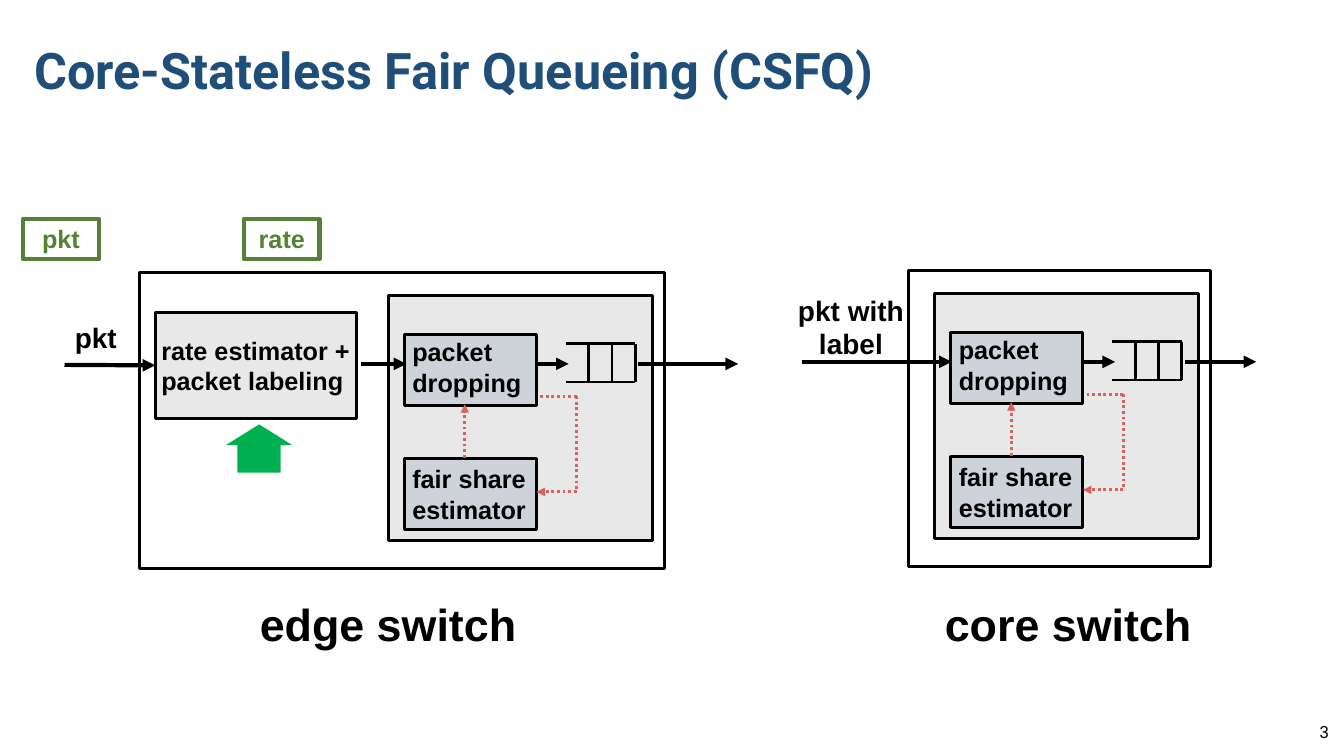
from dataclasses import dataclass

from lxml import etree
from pptx import Presentation
from pptx.dml.color import RGBColor
from pptx.enum import dml, shapes, text
from pptx.oxml import ns
from pptx.util import Inches, Pt


@dataclass(frozen=True)
class Theme:
    head: str = "Roboto"
    body: str = "Arial"
    ink: str = "000000"
    navy: str = "1F4E79"
    gray: str = "A6A6A6"
    steel: str = "8497B0"
    red: str = "D9615F"
    leaf: str = "548235"
    green: str = "00B050"
    white: str = "FFFFFF"
    title: int = 36
    name: int = 32
    label: int = 20
    stage: int = 18
    page: int = 12
    thin: int = 2
    thick: int = 3


T = Theme()
LEFT, MID, RIGHT = text.PP_ALIGN.LEFT, text.PP_ALIGN.CENTER, text.PP_ALIGN.RIGHT


def write(frame, lines, size, color=T.ink, font=T.body, bold=True, align=LEFT):
    frame.text = lines
    for para in frame.paragraphs:
        para.alignment = align
        para.font.name, para.font.size, para.font.bold = font, Pt(size), bold
        para.font.color.rgb = RGBColor.from_string(color)


def label(host, box, words, size, align=MID, wrap=False, **style):
    frame = host.add_textbox(*map(Inches, box)).text_frame
    frame.word_wrap = wrap
    write(frame, words, size, align=align, **style)
    return frame


def block(host, box, fill=None, alpha=None, edge=T.ink, width=T.thin,
          kind=shapes.MSO_SHAPE.RECTANGLE):
    """Draw a shape; alpha is the opacity of its fill in percent."""
    item = host.add_shape(kind, *map(Inches, box))
    item.shadow.inherit = False
    if fill:
        item.fill.solid()
        item.fill.fore_color.rgb = RGBColor.from_string(fill)
    else:
        item.fill.background()
    if alpha:
        tone = item._element.spPr.find(ns.qn("a:solidFill") + "/" + ns.qn("a:srgbClr"))
        etree.SubElement(tone, ns.qn("a:alpha"), val=str(alpha * 1000))
    if edge:
        item.line.color.rgb = RGBColor.from_string(edge)
        item.line.width = Pt(width)
    else:
        item.line.fill.background()
    return item


def stage(host, box, words, fill, inset=0.08, lift=0.0):
    """Draw a see-through block with left-aligned words, raised by lift."""
    item = block(host, box, fill, alpha=25)
    frame = item.text_frame
    frame.word_wrap = True
    frame.vertical_anchor = text.MSO_ANCHOR.MIDDLE
    frame.margin_left = Inches(inset)
    frame.margin_right = frame.margin_top = 0
    frame.margin_bottom = Inches(2 * lift)
    write(frame, words, T.stage)
    return item


def line(host, x1, y1, x2, y2, color=T.ink, width=T.thin, dots=False, head=False):
    item = host.add_connector(shapes.MSO_CONNECTOR.STRAIGHT,
                              *map(Inches, (x1, y1, x2, y2)))
    item.line.color.rgb = RGBColor.from_string(color)
    item.line.width = Pt(width)
    if dots:
        item.line.dash_style = dml.MSO_LINE.ROUND_DOT
    props = item._element.spPr
    if head:
        etree.SubElement(props.find(ns.qn("a:ln")), ns.qn("a:tailEnd"), type="triangle")
    etree.SubElement(props, ns.qn("a:effectLst"))
    return item


def arrow(host, x1, y1, x2, y2):
    return line(host, x1, y1, x2, y2, width=T.thick, head=True)


def queue(host, x, y, wide=0.69, high=0.38, gap=0.23):
    """Draw a buffer that is open on its left side."""
    lanes = host.add_group_shape().shapes
    for row in (y, y + high):
        line(lanes, x, row, x + wide, row)
    for slot in range(1, 4):
        line(lanes, x + slot * gap, y, x + slot * gap, y + high)


def loop(host, x, y, wide=0.38, high=0.95):
    """Draw the dotted route from packet dropping back to the estimator."""
    route = host.add_group_shape().shapes
    dotted = dict(color=T.red, dots=True)
    line(route, x + wide, y, x, y, **dotted)
    line(route, x + wide, y, x + wide, y + high, **dotted)
    line(route, x + wide, y + high, x - 0.02, y + high, head=True, **dotted)


def engine(host, x, y, out):
    """Draw the shared dropping stage; out is the length of its exit arrow."""
    block(host, (x, y, 2.62, 2.43), T.gray, alpha=25)
    stage(host, (x + 0.16, y + 0.39, 1.31, 0.7), "packet dropping", T.steel, lift=0.03)
    stage(host, (x + 0.16, y + 1.62, 1.31, 0.7), "fair share\nestimator", T.steel)
    queue(host, x + 1.76, y + 0.48)
    flow = y + 0.68
    arrow(host, x + 1.46, flow, x + 1.79, flow)
    arrow(host, x + 2.48, flow, x + 2.48 + out, flow)
    line(host, x + 0.76, y + 1.61, x + 0.76, y + 1.08, T.red, dots=True, head=True)
    loop(host, x + 1.49, y + 1)


def edge(host, x, y):
    block(host, (x, y, 5.21, 2.94))
    engine(host, x + 2.47, y + 0.23, out=0.99)
    rate = stage(host, (x + 0.16, y + 0.4, 2, 1.05),
                 "rate estimator +\npacket labeling", T.gray, inset=0.06)
    enter = arrow(host, x - 0.74, y + 0.92, x + 0.16, y + 0.92)
    enter.end_connect(rate, 1)
    arrow(host, x + 2.2, y + 0.91, x + 2.65, y + 0.91)
    label(host, (x - 0.74, y + 0.43, 0.62, 0.44), "pkt", T.label)
    mark = block(host, (x + 0.86, y + 1.51, 0.66, 0.48), T.green, edge=None,
                 kind=shapes.MSO_SHAPE.UP_ARROW)
    mark.adjustments[0], mark.adjustments[1] = 0.65, 0.43
    label(host, (x + 1.09, y + 3.17, 2.76, 0.64), "edge switch", T.name)


def core(host, x, y):
    block(host, (x, y, 3, 2.94))
    engine(host, x + 0.26, y + 0.23, out=0.71)
    arrow(host, x - 1.06, y + 0.91, x + 0.43, y + 0.91)
    label(host, (x - 1.22, y + 0.18, 1.3, 0.77), "pkt with label", T.label, wrap=True)
    label(host, (x + 0.25, y + 3.19, 2.67, 0.64), "core switch", T.name)


def tag(host, x, y, word):
    item = block(host, (x, y, 0.75, 0.4), T.white, edge=T.leaf, width=T.thick)
    frame = item.text_frame
    frame.word_wrap = False
    frame.vertical_anchor = text.MSO_ANCHOR.MIDDLE
    write(frame, word, T.stage, T.leaf, align=MID)


def heading(slide, box):
    title = slide.shapes.title
    title.left, title.top, title.width, title.height = map(Inches, box)
    frame = title.text_frame
    frame.vertical_anchor = text.MSO_ANCHOR.MIDDLE
    write(frame, "Core-Stateless Fair Queueing (CSFQ)", T.title, T.navy, T.head)
    frame.paragraphs[0].line_spacing = 0.9


def main():
    deck = Presentation()
    deck.slide_width, deck.slide_height = Inches(13.33), Inches(7.5)
    slide = deck.slides.add_slide(deck.slide_layouts[5])
    host = slide.shapes
    heading(slide, (0.24, 0, 12.28, 1.45))
    edge(host, 1.38, 2.7)
    core(host, 9.01, 2.68)
    tag(host, 0.23, 2.17, "pkt")
    tag(host, 2.42, 2.17, "rate")
    page = label(host, (10.28, 7.06, 3, 0.4), "3", T.page, RIGHT, wrap=True,
                 font=T.head, bold=False)
    page.vertical_anchor = text.MSO_ANCHOR.MIDDLE
    deck.save("out.pptx")


if __name__ == "__main__":
    main()
